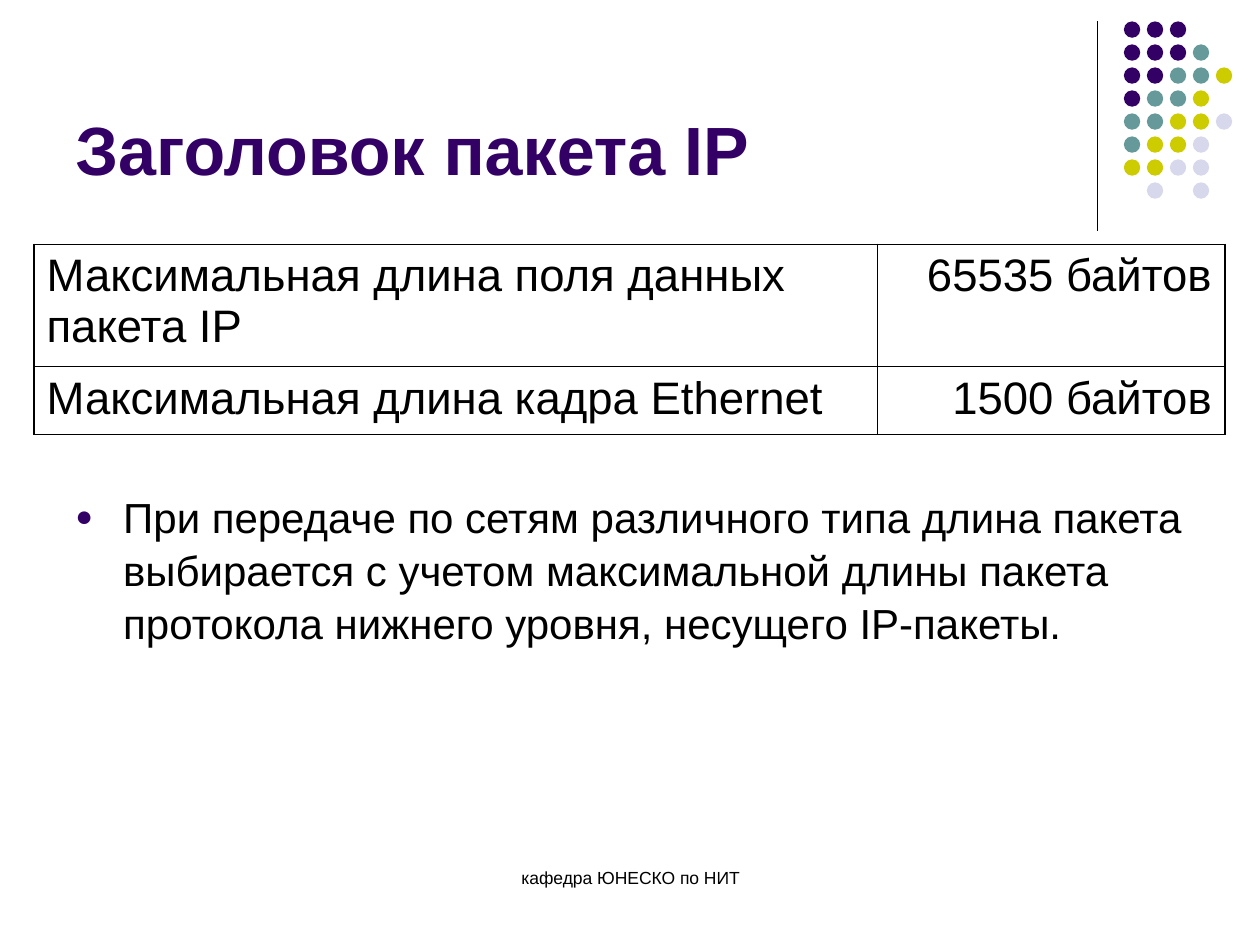
from lxml import etree
from pptx import Presentation
from pptx.dml.color import RGBColor
from pptx.enum import shapes, text
from pptx.oxml import ns
from pptx.util import Inches, Pt

BLACK = RGBColor(0x00, 0x00, 0x00)
PURPLE = RGBColor(0x33, 0x00, 0x66)
TEAL = RGBColor(0x66, 0x99, 0x99)
OLIVE = RGBColor(0xCC, 0xCC, 0x00)
PALE = RGBColor(0xD8, 0xD8, 0xEC)
ALIGN = text.PP_ALIGN


def write(frame, words, size, color=BLACK, align=ALIGN.LEFT, bold=False):
    frame.word_wrap = True
    frame.text = words
    para = frame.paragraphs[0]
    para.alignment = align
    font = para.runs[0].font
    font.name, font.size, font.bold = "Arial", Pt(size), bold
    font.color.rgb = color
    return para


def edge(cell, side, width):
    line = etree.SubElement(cell._tc.get_or_add_tcPr(), ns.qn(f"a:{side}"), w=str(Pt(width)))
    fill = etree.SubElement(line, ns.qn("a:solidFill"))
    etree.SubElement(fill, ns.qn("a:srgbClr"), val=str(BLACK))


prs = Presentation()
prs.slide_width, prs.slide_height = Inches(10), Inches(7.5)
slide = prs.slides.add_slide(prs.slide_layouts[6])
items = slide.shapes

# Vertical rule
rule = items.add_connector(shapes.MSO_CONNECTOR.STRAIGHT,
                           Inches(8.71), Inches(0.17), Inches(8.71), Inches(1.83))
rule.line.color.rgb = BLACK
rule.line.width = Pt(0.75)
etree.SubElement(rule._element.spPr, ns.qn("a:effectLst"))

# Dot pattern, one letter per dot
tones = {"P": PURPLE, "T": TEAL, "O": OLIVE, "L": PALE}
dots = ["PPP", "PPPT", "PPTTO", "PTTO", "TTOOL", "TOOL", "OOLL", " L L"]
step = 0.73 / 4
group = items.add_group_shape()
for row, marks in enumerate(dots):
    for col, mark in enumerate(marks):
        if mark == " ":
            continue
        dot = group.shapes.add_shape(shapes.MSO_SHAPE.OVAL, Inches(8.92 + col * step),
                                     Inches(0.17 + row * step), Inches(0.13), Inches(0.13))
        dot.shadow.inherit = False
        dot.fill.solid()
        dot.fill.fore_color.rgb = tones[mark]
        dot.line.fill.background()

# Footer
foot = items.add_textbox(Inches(3.42), Inches(6.83), Inches(3.17), Inches(0.5))
write(foot.text_frame, "кафедра ЮНЕСКО по НИТ", 10, align=ALIGN.CENTER)

# Title
title = items.add_textbox(Inches(0.5), Inches(0.13), Inches(8.25), Inches(1.42))
title.text_frame.vertical_anchor = text.MSO_ANCHOR.BOTTOM
write(title.text_frame, "Заголовок пакета IP", 39, PURPLE, bold=True)

# Body bullet
body = items.add_textbox(Inches(0.5), Inches(3.83), Inches(9), Inches(2.88))
para = write(body.text_frame,
             "При передаче по сетям различного типа длина пакета выбирается "
             "с учетом максимальной длины пакета протокола нижнего уровня, "
             "несущего IP-пакеты.", 24)
para.line_spacing = 1.05
props = para._p.get_or_add_pPr()
props.set("marL", str(Inches(0.38)))
props.set("indent", str(-Inches(0.38)))
tint = etree.SubElement(props, ns.qn("a:buClr"))
etree.SubElement(tint, ns.qn("a:srgbClr"), val=str(PURPLE))
etree.SubElement(props, ns.qn("a:buSzPct"), val="70000")
etree.SubElement(props, ns.qn("a:buFont"), typeface="Arial")
etree.SubElement(props, ns.qn("a:buChar"), char="●")

# Table of maximum lengths
rows = [("Максимальная длина поля данных пакета IP", "65535 байтов"),
        ("Максимальная длина кадра Ethernet", "1500 байтов")]
table = items.add_table(2, 2, Inches(0.27), Inches(1.94), Inches(9.45), Inches(1.51)).table
table.first_row = table.horz_banding = False
for col, width in zip(table.columns, (6.69, 2.76)):
    col.width = Inches(width)
for row, height in zip(table.rows, (0.97, 0.54)):
    row.height = Inches(height)
outer, inner = 1.08, 0.45
for r, pair in enumerate(rows):
    for c, words in enumerate(pair):
        cell = table.cell(r, c)
        write(cell.text_frame, words, 26, align=ALIGN.RIGHT if c else ALIGN.LEFT)
        cell.margin_left = cell.margin_right = Inches(0.1)
        cell.margin_top = cell.margin_bottom = Inches(0.05)
        edge(cell, "lnL", inner if c else outer)
        edge(cell, "lnR", outer if c else inner)
        edge(cell, "lnT", inner if r else outer)
        edge(cell, "lnB", outer if r else inner)
        cell.fill.background()

prs.save("out.pptx")
